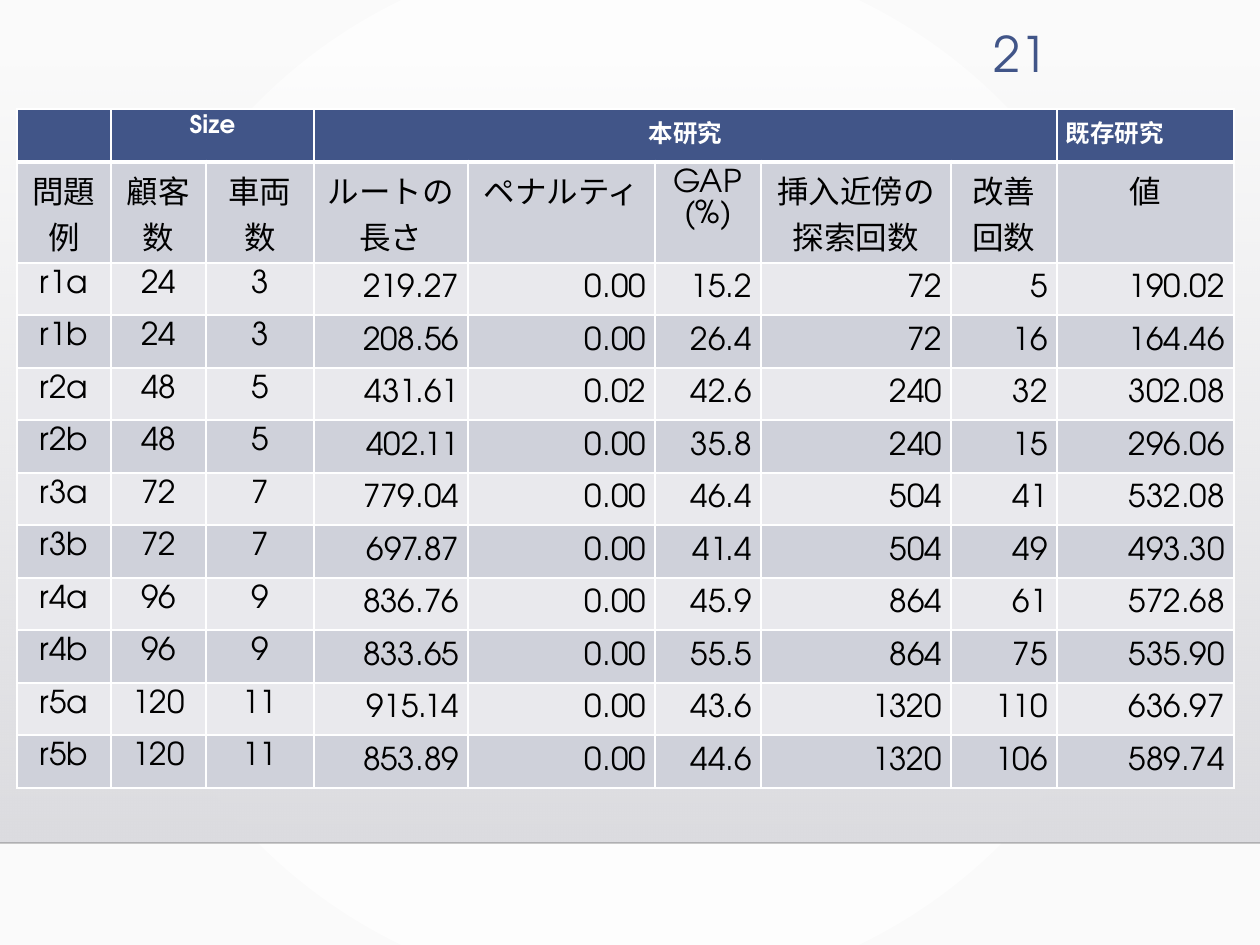
from lxml.etree import SubElement
from pptx import Presentation
from pptx.dml.color import RGBColor
from pptx.enum.shapes import MSO_CONNECTOR, MSO_SHAPE
from pptx.enum.text import MSO_ANCHOR, PP_ALIGN
from pptx.oxml.ns import qn
from pptx.util import Pt

SCALE = 914400 / 126
FONT = "TeX Gyre Adventor"
NAVY, WHITE, BLACK = "415588", "FFFFFF", "000000"
BANDS = ["CFD1DA", "E9E9ED"]
COLUMN_WIDTHS = [94, 95, 108, 154, 187, 106, 190, 106, 177]
GROUPS = {1: "Size", 3: "本研究", 8: "既存研究"}
HEADINGS = ["問題例", "顧客数", "車両数", "ルートの長さ", "ペナルティ", "GAP (%)",
            "挿入近傍の\n探索回数", "改善回数", "値"]
RESULTS = """
r1a 24 3 219.27 0.00 15.2 72 5 190.02
r1b 24 3 208.56 0.00 26.4 72 16 164.46
r2a 48 5 431.61 0.02 42.6 240 32 302.08
r2b 48 5 402.11 0.00 35.8 240 15 296.06
r3a 72 7 779.04 0.00 46.4 504 41 532.08
r3b 72 7 697.87 0.00 41.4 504 49 493.30
r4a 96 9 836.76 0.00 45.9 864 61 572.68
r4b 96 9 833.65 0.00 55.5 864 75 535.90
r5a 120 11 915.14 0.00 43.6 1320 110 636.97
r5b 120 11 853.89 0.00 44.6 1320 106 589.74
"""


def px(length):
    """Turn pixels into EMU."""
    return round(length * SCALE)


def color(value):
    """Turn a hex string into a colour."""
    return RGBColor.from_string(value)


def set_alpha(element, percent):
    """Make the first plain colour inside an element translucent."""
    srgb = element.xpath(".//a:srgbClr")[0]
    SubElement(srgb, qn("a:alpha"), val=str(percent * 1000))


def set_gradient(fill, start, end):
    """Give a fill a two-stop gradient running downwards."""
    fill.gradient()
    fill.gradient_angle = 270
    for stop, value in zip(fill.gradient_stops, (start, end)):
        stop.color.rgb = color(value)


def style_text(frame, size, value, align, bold=False, tight=False):
    """Format every paragraph of a text frame."""
    for paragraph in frame.paragraphs:
        paragraph.alignment = align
        paragraph.font.name = FONT
        paragraph.font.size = Pt(size)
        paragraph.font.bold = bold
        paragraph.font.color.rgb = color(value)
        if tight:
            paragraph.line_spacing = Pt(size)


def set_border(cell, side, width):
    """Draw a white border on one side of a cell."""
    border = SubElement(cell._tc.get_or_add_tcPr(), qn(f"a:ln{side}"), w=str(Pt(width)))
    SubElement(SubElement(border, qn("a:solidFill")), qn("a:srgbClr"), val=WHITE)


def add_backdrop(slide):
    """Add the radial background, the fading panel and its bottom edge."""
    set_gradient(slide.background.fill, "FFFFFF", "FAFAFA")
    gradient = slide.element.xpath(".//p:bg//a:gradFill")[0]
    gradient.remove(gradient.find(qn("a:lin")))
    radial = SubElement(gradient, qn("a:path"), path="circle")
    SubElement(radial, qn("a:fillToRect"), {side: "50000" for side in "ltrb"})

    panel = slide.shapes.add_shape(MSO_SHAPE.RECTANGLE, 0, px(64), px(1260), px(779))
    panel.shadow.inherit = False
    set_gradient(panel.fill, "DCDCE0", "DEDEE2")
    set_alpha(panel.element, 0)
    panel.line.fill.background()

    edge = slide.shapes.add_connector(MSO_CONNECTOR.STRAIGHT, 0, px(843), px(1260), px(843))
    edge.line.width = Pt(1)
    edge.line.color.rgb = color("000001")
    set_alpha(edge._element, 20)
    SubElement(edge._element.spPr, qn("a:effectLst"))


def fill_cell(cell, text, row, column):
    """Write and format one cell according to its place in the table."""
    for side in "LRTB":
        thick = (row, side) in ((0, "B"), (1, "T"))
        set_border(cell, side, 3 if thick else 1)
    cell.fill.solid()
    cell.fill.fore_color.rgb = color(BANDS[(row + 1) % 2] if row else NAVY)
    cell.margin_left = cell.margin_right = px(9)
    cell.margin_top = cell.margin_bottom = px(5)
    cell.text = text
    if row == 0:
        align = PP_ALIGN.LEFT if column == 8 else PP_ALIGN.CENTER
        style_text(cell.text_frame, 14, WHITE, align, bold=True, tight=text.isascii())
    elif row == 1 or column < 3:
        style_text(cell.text_frame, 18, BLACK, PP_ALIGN.CENTER, tight=text.isascii())
    else:
        cell.vertical_anchor = MSO_ANCHOR.MIDDLE
        style_text(cell.text_frame, 18, BLACK, PP_ALIGN.RIGHT)


def add_results_table(slide):
    """Add the table comparing this study with the earlier one."""
    groups = [GROUPS.get(column, "") for column in range(len(COLUMN_WIDTHS))]
    rows = [groups, HEADINGS] + [line.split() for line in RESULTS.strip().splitlines()]
    heights = [53, 95] + [52 + index % 2 for index in range(len(rows) - 2)]
    table = slide.shapes.add_table(len(rows), len(COLUMN_WIDTHS), px(17), px(109),
                                   px(sum(COLUMN_WIDTHS)), px(sum(heights))).table
    for column, width in zip(table.columns, COLUMN_WIDTHS):
        column.width = px(width)
    for row, height in zip(table.rows, heights):
        row.height = px(height)
    for row, texts in enumerate(rows):
        for column, text in enumerate(texts):
            fill_cell(table.cell(row, column), text, row, column)
    for first, last in ((1, 2), (3, 7)):
        table.cell(0, first).merge(table.cell(0, last))


def add_page_number(slide, number):
    """Add the page number above the table."""
    page = slide.shapes.add_textbox(px(950), px(18), px(110), px(69)).text_frame
    page.word_wrap = True
    page.vertical_anchor = MSO_ANCHOR.MIDDLE
    page.text = number
    style_text(page, 28, NAVY, PP_ALIGN.RIGHT)


def main():
    """Build the slide and save it."""
    presentation = Presentation()
    presentation.slide_width, presentation.slide_height = px(1260), px(945)
    slide = presentation.slides.add_slide(presentation.slide_layouts[6])
    add_backdrop(slide)
    add_results_table(slide)
    add_page_number(slide, "21")
    presentation.save("out.pptx")


if __name__ == "__main__":
    main()
